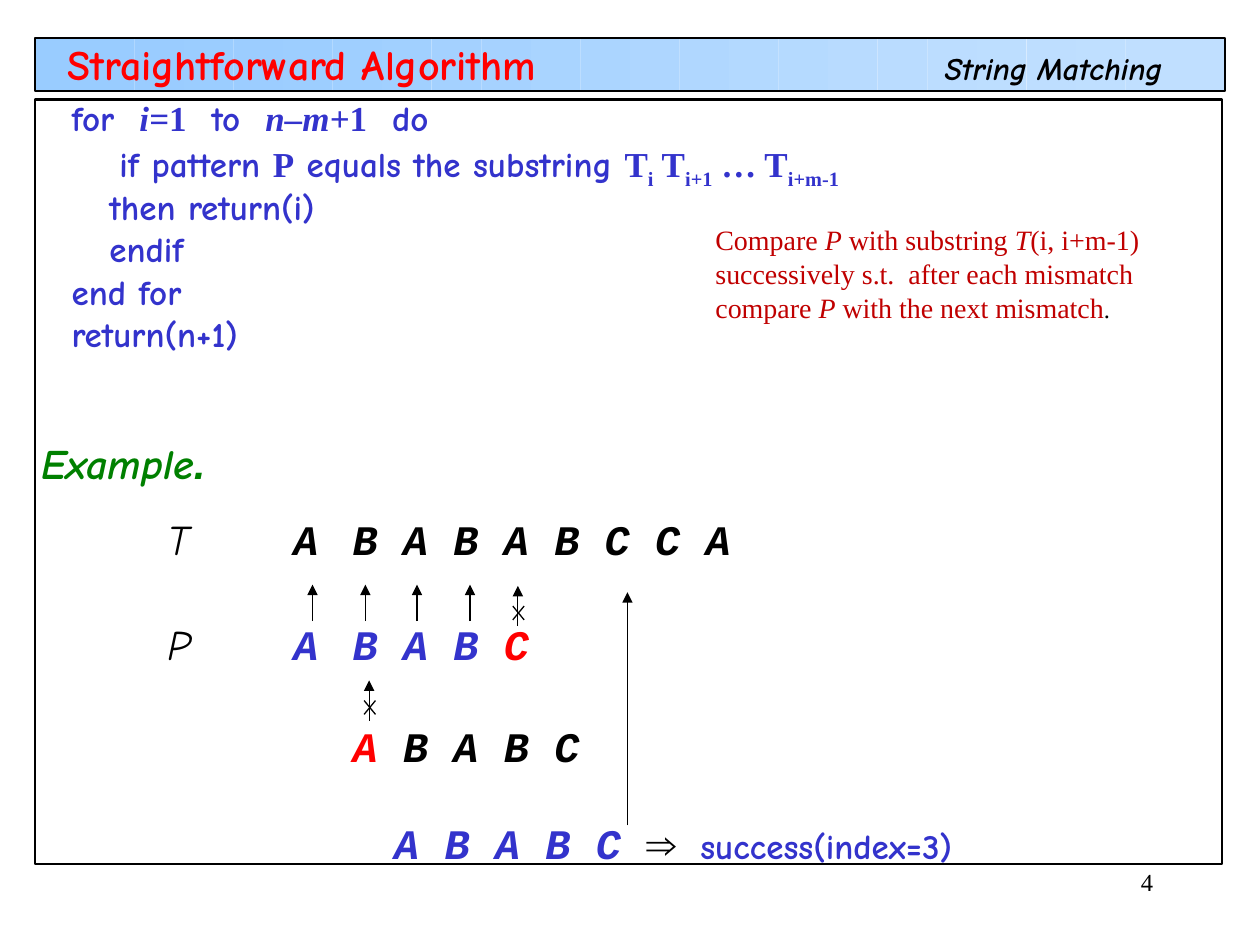
import math

from lxml import etree
from pptx import Presentation
from pptx.dml.color import RGBColor
from pptx.enum.shapes import MSO_CONNECTOR, MSO_SHAPE
from pptx.enum.text import MSO_ANCHOR, PP_ALIGN
from pptx.oxml.ns import qn
from pptx.util import Inches, Pt

RECTANGLE = MSO_SHAPE.RECTANGLE
STRAIGHT = MSO_CONNECTOR.STRAIGHT
MIDDLE = MSO_ANCHOR.MIDDLE
RIGHT = PP_ALIGN.RIGHT

COLORS = {"black": "000000", "red": "FF0000", "blue": "3333CC",
          "green": "008000", "crimson": "C00000"}
BAND_START, BAND_END = (153, 204, 255), (192, 223, 255)
STRIPS = 24

TITLE = dict(font="Comic Neue", size=24, color="red", bold=True)
TOPIC = dict(font="Comic Neue", size=18, color="black", bold=True, italic=True)
PAGE = dict(font="Times New Roman", size=14, color="black")
CODE = dict(font="Comic Neue", size=20, color="blue", bold=True)
MATH = dict(CODE, font="Times New Roman")
VARIABLE = dict(MATH, italic=True)
INDEX = dict(MATH, subscript=True)
NOTE = dict(font="Times New Roman", size=16, color="crimson")
NOTE_VARIABLE = dict(NOTE, italic=True)
EXAMPLE = dict(TITLE, color="green", italic=True)
LABEL = dict(font="Comic Neue", size=24, color="black", italic=True)
LETTER = dict(font="Courier New", size=24, color="black", bold=True, italic=True)
MATCH = dict(LETTER, color="blue")
MISMATCH = dict(LETTER, color="red")
IMPLIES = dict(font="Arial", size=24, color="black")

PSEUDOCODE = [
    (0, [("for  ", CODE), ("i=", VARIABLE), ("1", MATH), ("  to  ", CODE),
         ("n–m+", VARIABLE), ("1", MATH), ("  do", CODE)]),
    (0.38, [("if pattern ", CODE), ("P", MATH), (" equals the substring ", CODE),
            ("T", MATH), ("i", INDEX), (" T", MATH), ("i+1", INDEX),
            (" … T", MATH), ("i+m-1", INDEX)]),
    (0.3, [("then return(i)", CODE)]),
    (0.3, [("endif", CODE)]),
    (0, [("end for", CODE)]),
    (0, [("return(n+1)", CODE)]),
]
EXPLANATION = [
    [("Compare ", NOTE), ("P", NOTE_VARIABLE), (" with substring ", NOTE),
     ("T", NOTE_VARIABLE), ("(i, i+m-1)", NOTE)],
    [("successively s.t.  after each mismatch", NOTE)],
    [("compare ", NOTE), ("P", NOTE_VARIABLE), (" with the next mismatch", NOTE),
     (".", PAGE)],
]
TRACE_TABS = (1, 2, 2.47)
TRACE = [
    (15, 1, (), [("Example", EXAMPLE), (".", dict(EXAMPLE, font="Arial"))]),
    (15, 1, TRACE_TABS, [("\tT\t", LABEL), ("A\tB A B A B C C A", LETTER)]),
    (31, 1, TRACE_TABS, [("\tP\t", LABEL), ("A\tB A B ", MATCH), ("C", MISMATCH)]),
    (15, 1.5, (2.47,), [("\tA", MISMATCH), (" B A B C", LETTER)]),
    (12.5, 1.5, (2.8, 5.23), [("\tA B A B C ", MATCH), ("⇒\t", IMPLIES),
                              ("success(index=3)", CODE)]),
]


def add_box(slide, left, top, width, height, fill=None):
    """Add a filled strip, or a black outlined frame when there is no fill."""
    box = slide.shapes.add_shape(RECTANGLE, Inches(left), Inches(top),
                                 Inches(width), Inches(height))
    box.shadow.inherit = False
    if fill:
        box.fill.solid()
        box.fill.fore_color.rgb = fill
        box.line.fill.background()
    else:
        box.fill.background()
        box.line.color.rgb = RGBColor.from_string(COLORS["black"])
        box.line.width = Pt(1.25)


def add_text(slide, left, top, width, height):
    """Add a wrapping text box and return its frame."""
    frame = slide.shapes.add_textbox(Inches(left), Inches(top),
                                     Inches(width), Inches(height)).text_frame
    frame.word_wrap = True
    return frame


def add_runs(paragraph, runs):
    """Write styled runs into a paragraph."""
    for text, style in runs:
        run = paragraph.add_run()
        run.text = text
        run.font.name = style["font"]
        run.font.size = Pt(style["size"])
        run.font.bold = style.get("bold", False)
        run.font.italic = style.get("italic", False)
        run.font.color.rgb = RGBColor.from_string(COLORS[style["color"]])
        if style.get("subscript"):
            run.font._element.set("baseline", "-25000")


def next_paragraph(frame, number):
    """Return the first paragraph of a frame, or a new one after it."""
    return frame.add_paragraph() if number else frame.paragraphs[0]


def set_tabs(paragraph, stops):
    """Give a paragraph left tab stops at distances in inches."""
    tab_list = etree.SubElement(paragraph._p.get_or_add_pPr(), qn("a:tabLst"))
    for stop in stops:
        etree.SubElement(tab_list, qn("a:tab"), pos=str(Inches(stop)), algn="l")


def add_line(slide, start, end, arrow=False):
    """Draw a thin black line, with an arrowhead at its end if asked."""
    line = slide.shapes.add_connector(STRAIGHT, *map(Inches, start + end))
    line.line.color.rgb = RGBColor.from_string(COLORS["black"])
    line.line.width = Pt(0.75)
    if arrow:
        etree.SubElement(line.line._get_or_add_ln(), qn("a:tailEnd"), type="triangle")
    etree.SubElement(line._element.spPr, qn("a:effectLst"))


def add_failed_match(slide, x, top):
    """Draw an upward arrow crossed out to show a mismatch."""
    add_line(slide, (x, top + 0.32), (x, top), arrow=True)
    for near, far in ((0.16, 0.27), (0.27, 0.16)):
        add_line(slide, (x + 0.05, top + near), (x - 0.04, top + far))


def add_header(slide):
    """Draw the shaded band with title and topic, and the content frame."""
    pitch = 9.44 / STRIPS
    for strip in range(STRIPS):
        blend = (1 - math.cos(math.pi * strip / (STRIPS - 1))) / 2
        shade = RGBColor(*(round(a + (b - a) * blend)
                           for a, b in zip(BAND_START, BAND_END)))
        add_box(slide, 0.28 + strip * pitch, 0.3, pitch, 0.42, shade)
    add_box(slide, 0.28, 0.3, 9.44, 0.42)
    add_box(slide, 0.28, 0.79, 9.42, 6.07)
    topic = add_text(slide, 7.4, 0.34, 2.1, 0.4)
    add_runs(topic.paragraphs[0], [("String Matching", TOPIC)])
    title = add_text(slide, 0.44, 0.38, 5.17, 0.25)
    title.vertical_anchor = MIDDLE
    add_runs(title.paragraphs[0], [("Straightforward Algorithm", TITLE)])


def add_pseudocode(slide):
    """Write the indented algorithm."""
    frame = add_text(slide, 0.47, 0.78, 9.07, 2.17)
    for number, (indent, runs) in enumerate(PSEUDOCODE):
        step = next_paragraph(frame, number)
        step.line_spacing = 0.8
        step.space_before = Pt(5)
        step._p.get_or_add_pPr().set("marL", str(Inches(indent)))
        add_runs(step, runs)


def add_trace(slide):
    """Write the worked example and its comparison arrows."""
    frame = add_text(slide, 0.23, 2.81, 9.25, 4.14)
    frame.margin_top = Inches(0.66)
    for number, (before, spacing, stops, runs) in enumerate(TRACE):
        row = next_paragraph(frame, number)
        row.line_spacing = spacing
        row.space_before = Pt(before)
        set_tabs(row, stops)
        add_runs(row, runs)
    for x in (2.48, 2.9, 3.31, 3.73):
        add_line(slide, (x, 4.93), (x, 4.64), arrow=True)
    add_line(slide, (4.98, 6.55), (4.98, 4.7), arrow=True)
    add_failed_match(slide, 4.11, 4.65)
    add_failed_match(slide, 2.93, 5.4)


def add_explanation(slide):
    """Write the remark beside the algorithm."""
    frame = add_text(slide, 5.58, 1.72, 3.7, 0.9)
    for number, runs in enumerate(EXPLANATION):
        add_runs(next_paragraph(frame, number), runs)


def main():
    """Build and save the slide."""
    deck = Presentation()
    deck.slide_width, deck.slide_height = Inches(10), Inches(7.5)
    slide = deck.slides.add_slide(deck.slide_layouts[6])
    add_header(slide)
    page = add_text(slide, 7.92, 6.83, 1.33, 0.5).paragraphs[0]
    page.alignment = RIGHT
    add_runs(page, [("4", PAGE)])
    add_pseudocode(slide)
    add_trace(slide)
    add_explanation(slide)
    deck.save("out.pptx")


if __name__ == "__main__":
    main()
